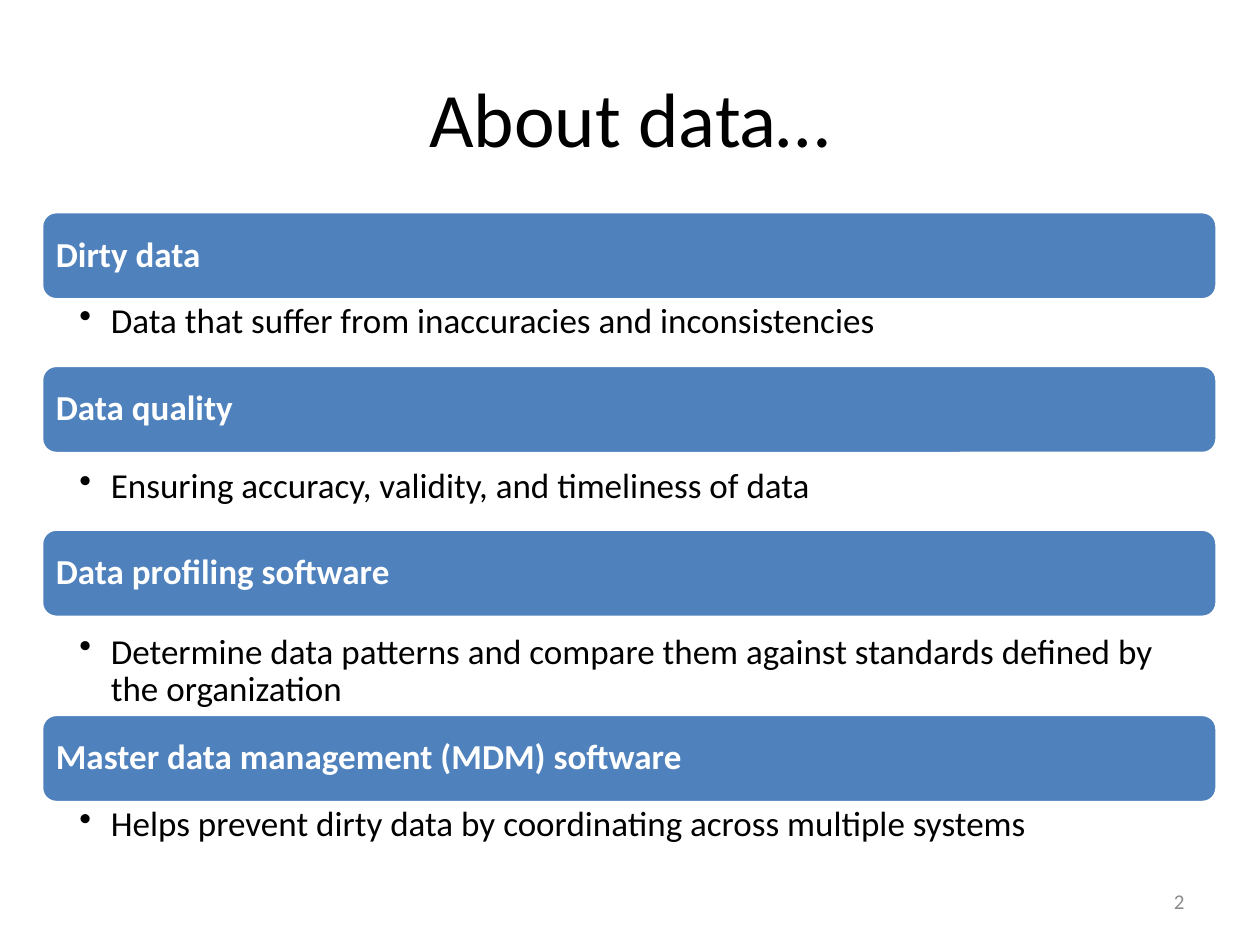
"""Build the "About data" slide: four headed bars, each with a bullet below."""
from lxml.etree import SubElement
from pptx import Presentation
from pptx.dml.color import RGBColor
from pptx.enum.shapes import MSO_SHAPE as Shape
from pptx.enum.text import MSO_ANCHOR as Anchor, PP_ALIGN as Align
from pptx.oxml.ns import qn
from pptx.util import Inches, Pt

COLORS = {"bar": "4F81BD", "white": "FFFFFF", "text": "000000", "number": "8C8C8C"}
FONT = "Calibri"
LEFT, WIDTH, BAR_HEIGHT = 0.33, 9.33, 0.7

TOPICS = [
    (1.68, "Dirty data", 2.38, "Data that suffer from inaccuracies and inconsistencies"),
    (2.9, "Data quality", 3.69, "Ensuring accuracy, validity, and timeliness of data"),
    (4.2, "Data profiling software", 5.0,
     "Determine data patterns and compare them against standards defined by the organization"),
    (5.67, "Master data management (MDM) software", 6.37,
     "Helps prevent dirty data by coordinating across multiple systems"),
]


def color(name):
    return RGBColor.from_string(COLORS[name])


def write_text(box, text, size, color_name, align=Align.LEFT, anchor=Anchor.MIDDLE,
               insets=(0.1, 0.05, 0.1, 0.05), bold=False):
    frame = box.text_frame
    frame.word_wrap = True
    frame.vertical_anchor = anchor
    (frame.margin_left, frame.margin_top,
     frame.margin_right, frame.margin_bottom) = map(Inches, insets)
    para = frame.paragraphs[0]
    para.text = text
    para.alignment = align
    para.font.name = FONT
    para.font.size = Pt(size)
    para.font.bold = bold
    para.font.color.rgb = color(color_name)
    return para


def add_text(slide, bounds, text, size, color_name, **options):
    box = slide.shapes.add_textbox(*map(Inches, bounds))
    return write_text(box, text, size, color_name, **options)


def add_heading_bar(slide, top, text):
    bar = slide.shapes.add_shape(
        Shape.ROUNDED_RECTANGLE, *map(Inches, (LEFT, top, WIDTH, BAR_HEIGHT)))
    bar.shadow.inherit = False
    bar.fill.solid()
    bar.fill.fore_color.rgb = color("bar")
    bar.line.color.rgb = color("white")
    bar.line.width = Pt(2)
    para = write_text(bar, text, 20, "white", insets=(0.08,) * 4, bold=True)
    para.line_spacing = 0.9


def add_bullet(slide, top, text):
    para = add_text(slide, (LEFT, top, WIDTH, 0.62), text, 20, "text",
                    anchor=Anchor.TOP, insets=(0.3, 0.03, 0.16, 0.03))
    para.level = 1
    para.line_spacing = 0.9
    para.space_after = Pt(4)
    properties = para._p.get_or_add_pPr()
    properties.set("marL", str(Inches(0.25)))
    properties.set("indent", str(Inches(-0.25)))
    SubElement(properties, qn("a:buChar")).set("char", "•")


def main():
    deck = Presentation()
    deck.slide_width, deck.slide_height = Inches(10), Inches(7.5)
    slide = deck.slides.add_slide(deck.slide_layouts[6])
    add_text(slide, (0.5, 0.3, 9, 1.25), "About data…", 44, "text", align=Align.CENTER)
    for bar_top, heading, bullet_top, detail in TOPICS:
        add_heading_bar(slide, bar_top, heading)
        add_bullet(slide, bullet_top, detail)
    add_text(slide, (7.17, 6.95, 2.33, 0.4), "2", 12, "number", align=Align.RIGHT)
    deck.save("out.pptx")


main()
